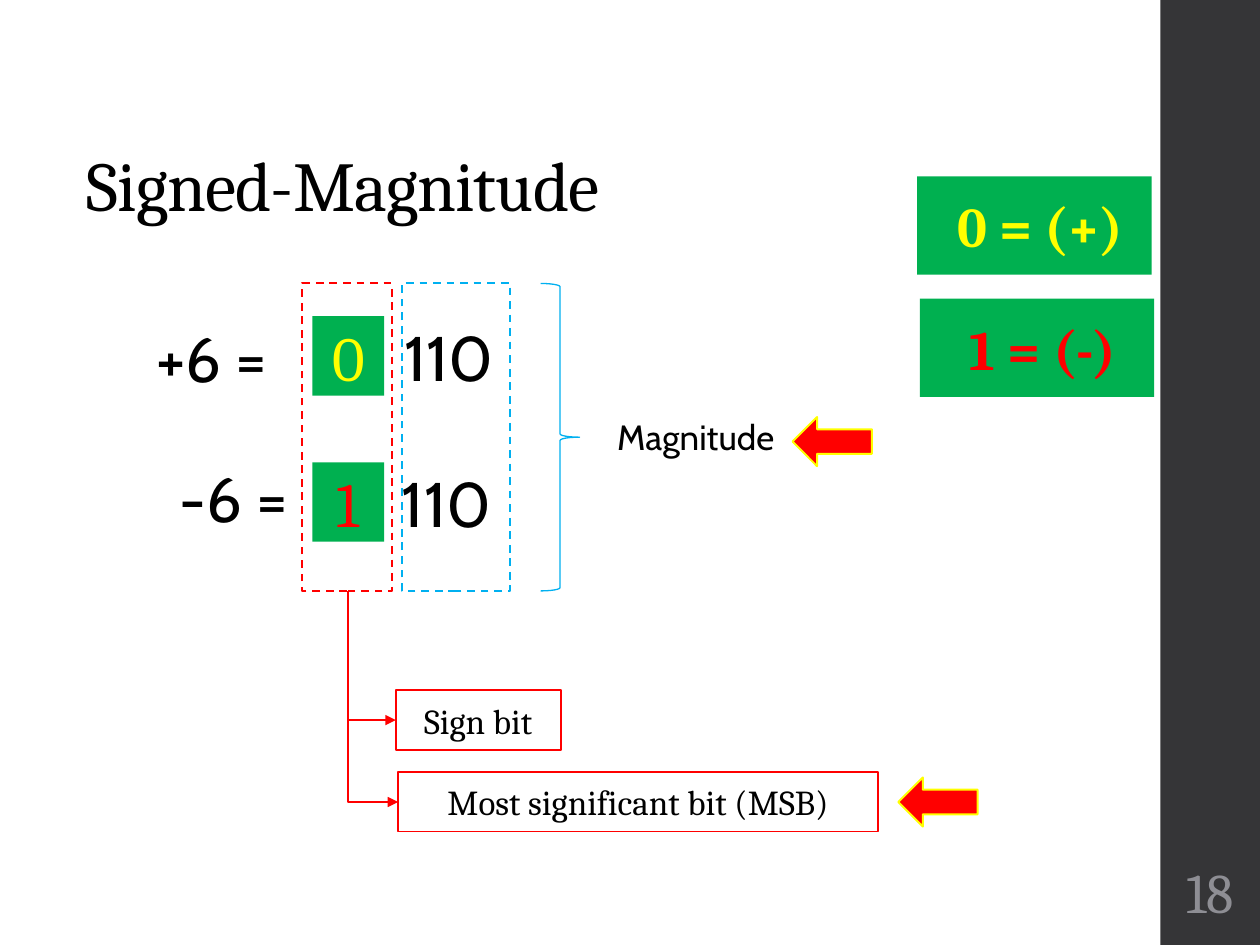
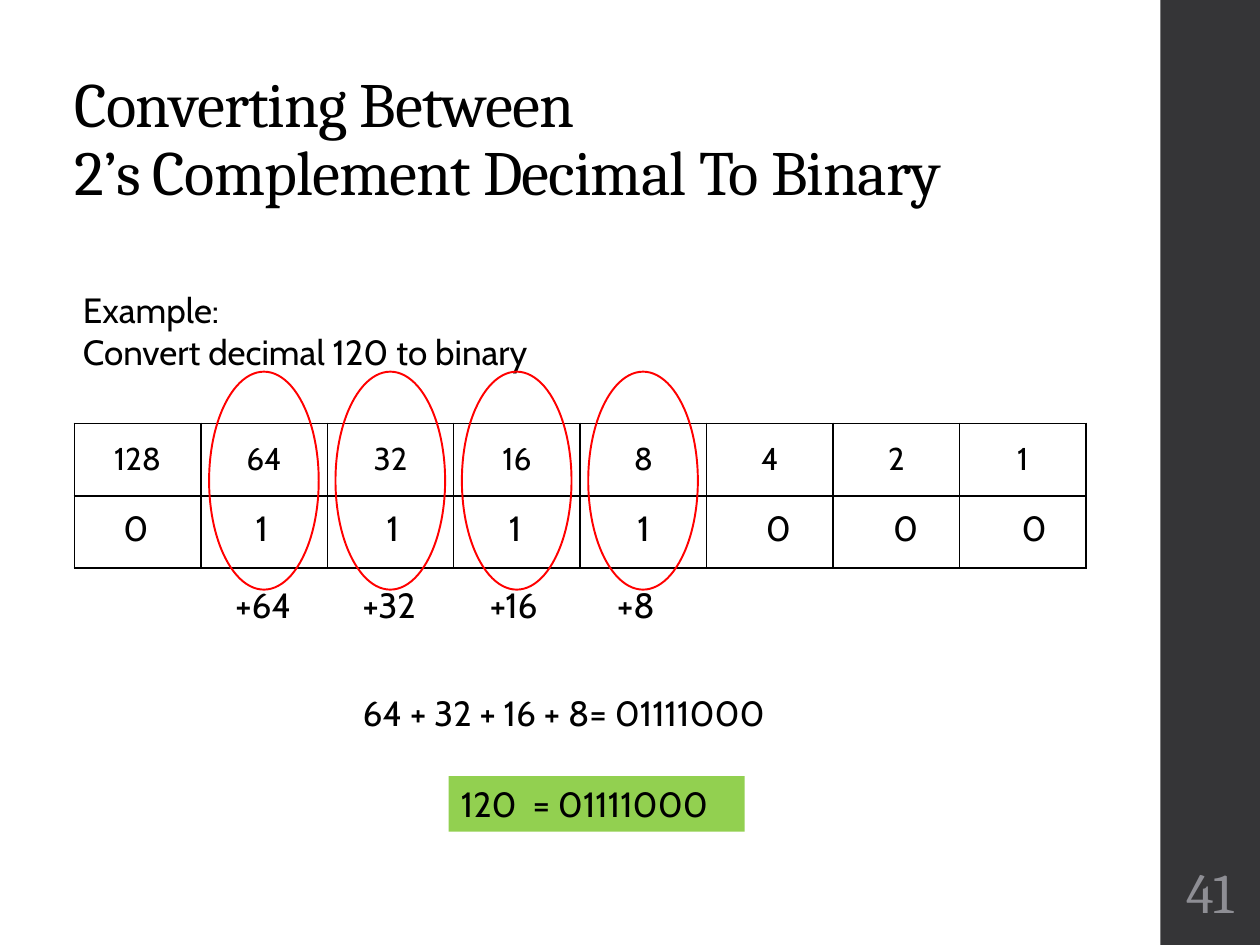
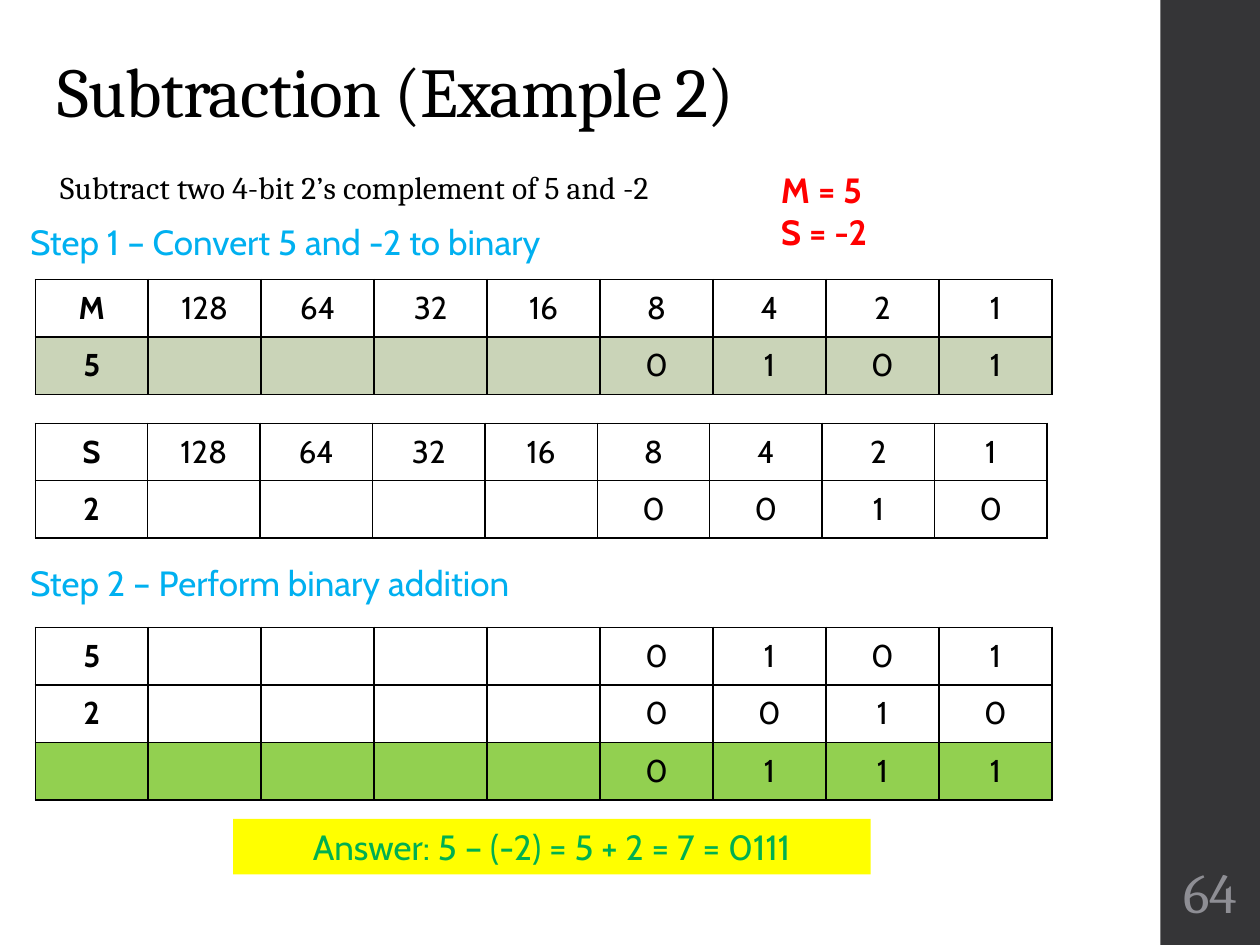
from lxml import etree
from pptx import Presentation
from pptx.dml.color import RGBColor
from pptx.enum.dml import MSO_LINE
from pptx.enum.shapes import MSO_CONNECTOR as Connector, MSO_SHAPE as Preset
from pptx.enum.text import MSO_ANCHOR as Anchor, MSO_AUTO_SIZE as AutoSize, PP_ALIGN as Align
from pptx.oxml.ns import qn
from pptx.util import Inches, Pt

SLIDE_WIDTH, SLIDE_HEIGHT = Inches(10), Inches(7.5)
COLUMN, ROW = SLIDE_WIDTH / 100, SLIDE_HEIGHT / 75
TITLE_ONLY = 5
SERIF, SANS = "Cambria", "Cabin"
COLORS = {
    "ink": "000000", "paper": "FFFFFF", "band": "353537", "page": "8E8E94",
    "red": "FF0000", "yellow": "FFFF00", "green": "00B050", "blue": "00B0F0",
    "lime": "92D050", "sage": "CAD4B8",
}
PLACES = ["128", "64", "32", "16", "8", "4", "2", "1"]
UNUSED = [""] * 4


def rgb(name):
    return RGBColor.from_string(COLORS[name])


def grid(left, top, width, height):
    return [round(n) for n in (left * COLUMN, top * ROW, width * COLUMN, height * ROW)]


def write(frame, text, size, color="ink", font=SANS, bold=False, align=Align.LEFT,
          line_spacing=None, tracking=None):
    frame.text = text
    for paragraph in frame.paragraphs:
        paragraph.alignment = align
        if line_spacing:
            paragraph.line_spacing = line_spacing
        face = paragraph.font
        face.name, face.size, face.bold = font, Pt(size), bold
        face.color.rgb = rgb(color)
        if tracking:
            face._element.set("spc", str(tracking))


def paint(shape, fill=None, line=None, weight=1.1, dashed=False):
    if fill:
        shape.fill.solid()
        shape.fill.fore_color.rgb = rgb(fill)
    else:
        shape.fill.background()
    if line:
        shape.line.color.rgb = rgb(line)
        shape.line.width = Pt(weight)
        if dashed:
            shape.line.dash_style = MSO_LINE.DASH
    else:
        shape.line.fill.background()


def add_figure(slide, preset, area, **look):
    figure = slide.shapes.add_shape(preset, *grid(*area))
    figure.shadow.inherit = False
    paint(figure, **look)
    return figure


def add_box(slide, area, text, size, color="ink", bold=False, **look):
    box = add_figure(slide, Preset.RECTANGLE, area, **look)
    box.text_frame.vertical_anchor = Anchor.MIDDLE
    write(box.text_frame, text, size, color, SERIF, bold, Align.CENTER)


def add_label(slide, area, text, size=20, color="ink", wrap=False, fill=None, **style):
    label = slide.shapes.add_textbox(*grid(*area))
    paint(label, fill)
    label.text_frame.word_wrap = wrap
    label.text_frame.auto_size = AutoSize.SHAPE_TO_FIT_TEXT
    write(label.text_frame, text, size, color, **style)


def add_elbow(slide, start, end):
    (x1, y1), (x2, y2) = start, end
    drop, run = y2 - y1, x2 - x1
    left, top, width, height = grid((x1 + x2 - drop) / 2, (y1 + y2 - run) / 2, drop, run)
    elbow = slide.shapes.add_connector(Connector.ELBOW, left + width, top, left, top + height)
    elbow.line.color.rgb = rgb("red")
    elbow.line.width = Pt(1.1)
    properties = elbow._element.spPr
    properties.find(qn("a:xfrm")).set("rot", str(270 * 60000))
    properties.find(qn("a:prstGeom")).set("prst", "bentConnector2")
    etree.SubElement(properties.find(qn("a:ln")), qn("a:tailEnd"), type="triangle")
    etree.SubElement(properties, qn("a:effectLst"))


def outline(cell):
    properties = cell._tc.get_or_add_tcPr()
    for place, side in enumerate(("lnL", "lnR", "lnT", "lnB")):
        edge = etree.Element(qn(f"a:{side}"), w=str(Pt(1)))
        solid = etree.SubElement(edge, qn("a:solidFill"))
        etree.SubElement(solid, qn("a:srgbClr"), val=COLORS["ink"])
        properties.insert(place, edge)


def add_bit_table(slide, area, rows, fills=None, headed=True):
    table = slide.shapes.add_table(len(rows), len(rows[0]), *grid(*area)).table
    table.first_row = table.horz_banding = False
    for r, values in enumerate(rows):
        fill = (fills or {}).get(r)
        for c, value in enumerate(values):
            cell = table.cell(r, c)
            cell.vertical_anchor = Anchor.MIDDLE
            write(cell.text_frame, value, 18, bold=headed and c == 0, align=Align.CENTER)
            if fill:
                cell.fill.solid()
                cell.fill.fore_color.rgb = rgb(fill)
            else:
                cell.fill.background()
            outline(cell)


def add_band(slide):
    band = add_figure(slide, Preset.RECTANGLE, (92.1, 0, 7.9, 75), fill="band")
    slide.slide_layout.shapes._spTree.append(band._element)


def add_slide(deck, title, area, page, size=40):
    slide = deck.slides.add_slide(deck.slide_layouts[TITLE_ONLY])
    heading = slide.shapes.title
    heading.left, heading.top, heading.width, heading.height = grid(*area)
    frame = heading.text_frame
    frame.vertical_anchor, frame.auto_size = Anchor.BOTTOM, AutoSize.NONE
    write(frame, title, size, font=SERIF, line_spacing=0.9, tracking=-50)

    number = slide.shapes.add_textbox(*grid(92.3, 67.5, 7.5, 6.5)).text_frame
    number.word_wrap = True
    number.vertical_anchor = Anchor.MIDDLE
    number.margin_left = number.margin_right = Inches(0.03)
    write(number, page, 32, "page", SERIF, align=Align.CENTER)
    return slide


def build_signed_magnitude(deck):
    slide = add_slide(deck, "Signed-Magnitude", (5.9, 4, 83.9, 14.5), "18")
    add_band(slide)
    add_label(slide, (11.4, 24.9, 13.7, 7.1), "+6 =", 36)
    add_label(slide, (13.3, 36, 11.9, 7.1), "-6 =", 36)
    for top, bit, color in ((25.1, "0", "yellow"), (36.7, "1", "red")):
        add_box(slide, (24.8, top, 5.7, 6.3), bit, 36, color, fill="green")
    for left, width, color in ((24, 7.1, "red"), (31.9, 8.6, "blue")):
        add_figure(slide, Preset.RECTANGLE, (left, 22.5, width, 24.4), line=color, dashed=True)
    add_figure(slide, Preset.RIGHT_BRACE, (42.9, 22.5, 3.1, 24.4), line="blue", weight=0.75)
    add_label(slide, (48, 32.5, 14.9, 4.4), "Magnitude")

    meanings = (
        ((31.4, 54.8, 13.1, 4.7), "Sign bit"),
        ((31.6, 61.3, 38.1, 4.7), "Most significant bit (MSB)"),
    )
    for area, meaning in meanings:
        left, top, _, height = area
        add_elbow(slide, (27.6, 46.9), (left, top + height / 2))
        add_box(slide, area, meaning, 20, fill="paper", line="red")

    for left, top in ((31.1, 24.8), (30.9, 36.4)):
        add_label(slide, (left, top, 10.3, 7.1), "110", 36)
    for left, top in ((71.3, 61.7), (62.9, 33.1)):
        add_figure(slide, Preset.LEFT_ARROW, (left, top, 6.3, 3.9), fill="red", line="yellow")
    for left, top, sign, color in ((72.8, 14, " 0 = (+)", "yellow"), (73, 23.7, " 1 = (-)", "red")):
        add_box(slide, (left, top, 18.6, 7.8), sign, 32, color, bold=True, fill="green")


def build_conversion(deck):
    title = "Converting Between\v2’s Complement Decimal To Binary"
    slide = add_slide(deck, title, (4.9, 2.6, 86.9, 14.5), "41", 36)
    add_bit_table(slide, (5.9, 33.6, 80.3, 11.5), [PLACES, [""] * 8], headed=False)
    add_label(slide, (35.6, 61.6, 23.5, 4.4), "120  = 01111000", fill="lime")
    add_label(slide, (5.6, 22.4, 40.2, 7.7), "Example:\nConvert decimal 120 to binary")
    bit_lefts = (8.8, 19.3, 29.7, 39.4, 49.6, 59.8, 69.9, 80.1)
    for left, bit in zip(bit_lefts, "01111000"):
        add_label(slide, (left, 39.7, 3.5, 4.4), bit)
    add_label(slide, (27.8, 54.4, 39.2, 4.4), "64 + 32 + 16 + 8= 01111000")
    for i, place in enumerate(PLACES[1:5]):
        add_label(slide, (17.7 + 10.1 * i, 45.8, 4.1 + 1.5 * len(place), 4.4), f"+{place}")
        add_figure(slide, Preset.OVAL, (16.6 + 10.03 * i, 29.5, 8.7, 17.3), line="red")


def build_subtraction(deck):
    slide = add_slide(deck, "Subtraction (Example 2)", (3.6, 2.9, 86.3, 8.1), "64")
    add_label(slide, (3.8, 13.1, 86.3, 4.7), "Subtract two 4-bit 2’s complement of 5 and -2", 18,
              wrap=True, font=SERIF, line_spacing=0.95, tracking=10)

    five = ["5", *UNUSED, *"0101"]
    two = ["2", *UNUSED, *"0010"]
    total = ["", *UNUSED, *"0111"]
    add_bit_table(slide, (2.8, 33.6, 80.3, 9.1), [["S", *PLACES], two])
    add_bit_table(slide, (2.8, 22.2, 80.7, 9.1), [["M", *PLACES], five], {1: "sage"})
    add_bit_table(slide, (2.8, 49.8, 80.7, 13.7), [five, two, total], {2: "lime"})

    steps = ((17, "Step 1 – Convert 5 and -2 to binary"), (44.1, "Step 2 – Perform binary addition"))
    for top, step in steps:
        add_label(slide, (1.4, top, 50.6, 4.4), step, color="blue", wrap=True)
    add_label(slide, (18.5, 65, 50.6, 4.4), "Answer: 5 – (-2) = 5 + 2 = 7 = 0111",
              color="green", wrap=True, fill="yellow", align=Align.CENTER)
    add_label(slide, (61, 12.9, 10.7, 7.7), "M = 5\nS = -2", color="red", bold=True)


def main():
    deck = Presentation()
    deck.slide_width, deck.slide_height = SLIDE_WIDTH, SLIDE_HEIGHT
    build_signed_magnitude(deck)
    build_conversion(deck)
    build_subtraction(deck)
    deck.save("out.pptx")


if __name__ == "__main__":
    main()
